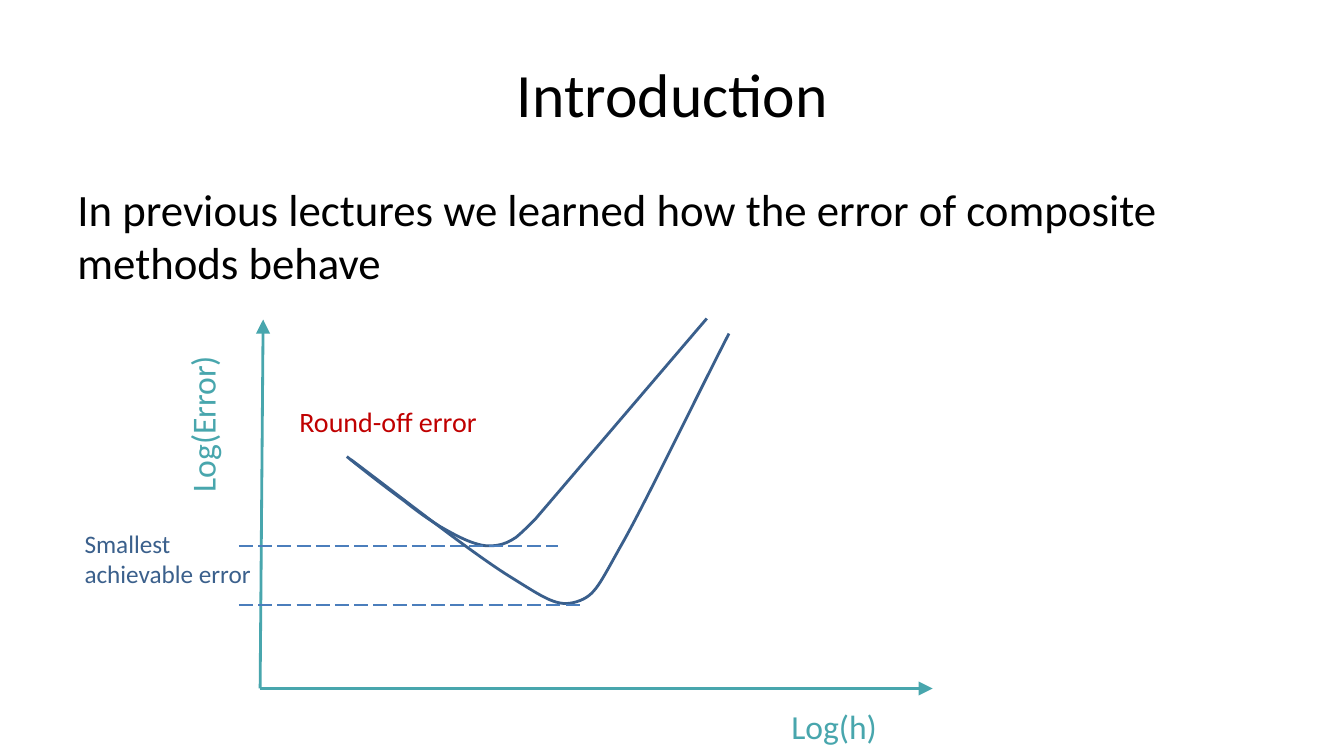
from lxml import etree
from pptx import Presentation
from pptx import util as u
from pptx.dml.color import RGBColor
from pptx.enum import dml, shapes, text
from pptx.oxml import ns

PX = 9144  # EMU per px, 100 px to the inch
FONT = "Calibri"
BLACK, TEAL, RED = "000000", "48A6AD", "C00000"
CURVE_BLUE, DASH_BLUE, LABEL_BLUE = "3A5F8C", "4B7EBC", "3B608C"

# Sections of one point are straight; three points are two handles and an end
UPPER_CURVE = [
    [(627, 0)],
    [(457, 199)],
    [(451, 205), (444, 212), (438, 217)],
    [(432, 221), (426, 224), (419, 225)],
    [(412, 226), (406, 226), (397, 223)],
    [(387, 220), (374, 213), (362, 206)],
    [(351, 199), (342, 193), (327, 181)],
    [(312, 170), (291, 154), (270, 137)],
]
LOWER_CURVE = [
    [(649, 15)],
    [(614, 83), (570, 175), (545, 220)],
    [(520, 264), (517, 275), (498, 281)],
    [(479, 287), (467, 278), (430, 255)],
    [(392, 231), (326, 179), (274, 140)],
]


def color(value):
    return RGBColor.from_string(value)


def add_text(slide, box, lines, size, ink, wrap=False, centered=False, rotation=0):
    label = slide.shapes.add_textbox(*(value * PX for value in box))
    label.rotation = rotation
    frame = label.text_frame
    frame.word_wrap = wrap
    if centered:
        frame.vertical_anchor = text.MSO_ANCHOR.MIDDLE
    for index, line in enumerate(lines):
        para = frame.add_paragraph() if index else frame.paragraphs[0]
        para.text = line
        para.alignment = text.PP_ALIGN.CENTER if centered else text.PP_ALIGN.LEFT
        para.font.name = FONT
        para.font.size = u.Pt(size)
        para.font.color.rgb = color(ink)


def add_line(slide, start, end, ink, width, dashed=False, arrow=False):
    ends = (value * PX for value in (*start, *end))
    connector = slide.shapes.add_connector(shapes.MSO_CONNECTOR.STRAIGHT, *ends)
    connector.line.color.rgb = color(ink)
    connector.line.width = u.Pt(width)
    if dashed:
        connector.line.dash_style = dml.MSO_LINE.LONG_DASH
    if arrow:
        tip = etree.SubElement(connector.line._get_or_add_ln(), ns.qn("a:tailEnd"))
        for name, value in (("type", "triangle"), ("w", "lg"), ("len", "lg")):
            tip.set(name, value)
    etree.SubElement(connector._element.spPr, ns.qn("a:effectLst"))


def bend(curve, sections):
    """Turn straight segments into cubic ones where a section has handles."""
    left = min(section[-1][0] for section in sections)
    top = min(section[-1][1] for section in sections)
    segments = list(curve._element.spPr.iter(ns.qn("a:lnTo")))
    for segment, section in zip(segments, sections[1:]):
        if len(section) == 1:
            continue
        cubic = etree.Element(ns.qn("a:cubicBezTo"))
        for x, y in section:
            etree.SubElement(cubic, ns.qn("a:pt"), x=str(x - left), y=str(y - top))
        segment.getparent().replace(segment, cubic)


def add_curve(slide, left, top, sections):
    ends = [section[-1] for section in sections]
    builder = slide.shapes.build_freeform(*ends[0], scale=PX)
    builder.add_line_segments(ends[1:], close=False)
    curve = builder.convert_to_shape(left * PX, top * PX)
    bend(curve, sections)
    curve.shadow.inherit = False
    curve.fill.background()
    curve.line.color.rgb = color(CURVE_BLUE)
    curve.line.width = u.Pt(2)


def add_error_plot(slide, left, top):
    def at(x, y):
        return left + x, top + y

    def label(x, y, width, height, lines, size, ink, rotation=0):
        add_text(slide, (*at(x, y), width, height), lines, size, ink, rotation=rotation)

    for tip in ((851, 367), (187, 1)):
        add_line(slide, at(184, 367), at(*tip), TEAL, 2, arrow=True)
    label(48, 79, 157, 50, ["Log(Error)"], 24, TEAL, rotation=270)
    label(701, 379, 106, 50, ["Log(h)"], 24, TEAL)
    label(213, 80, 198, 44, ["Round-off error"], 20, RED)
    label(0, 203, 187, 71, ["Smallest", "achievable error"], 18, LABEL_BLUE)
    for sections, level, end in ((UPPER_CURVE, 226, 479), (LOWER_CURVE, 284, 502)):
        add_curve(slide, left, top, sections)
        add_line(slide, at(163, level), at(end, level), DASH_BLUE, 1.25, dashed=True)


def main():
    deck = Presentation()
    deck.slide_width, deck.slide_height = 1333 * PX, 750 * PX
    slide = deck.slides.add_slide(deck.slide_layouts[6])
    add_text(slide, (67, 30, 1200, 125), ["Introduction"], 44, BLACK,
             wrap=True, centered=True)
    add_text(slide, (67, 175, 1200, 495),
             ["In previous lectures we learned how the error of composite methods behave"],
             32, BLACK, wrap=True)
    add_error_plot(slide, 74, 316)
    deck.save("out.pptx")


if __name__ == "__main__":
    main()
